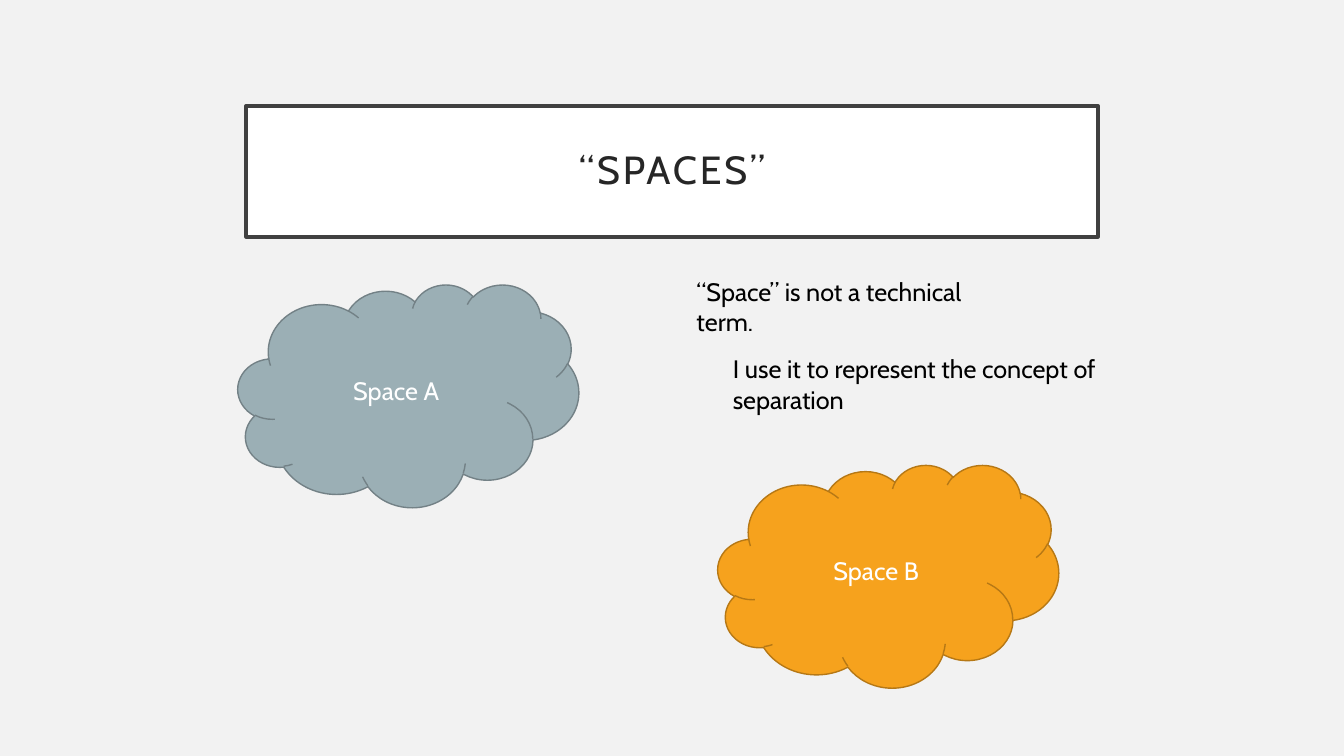
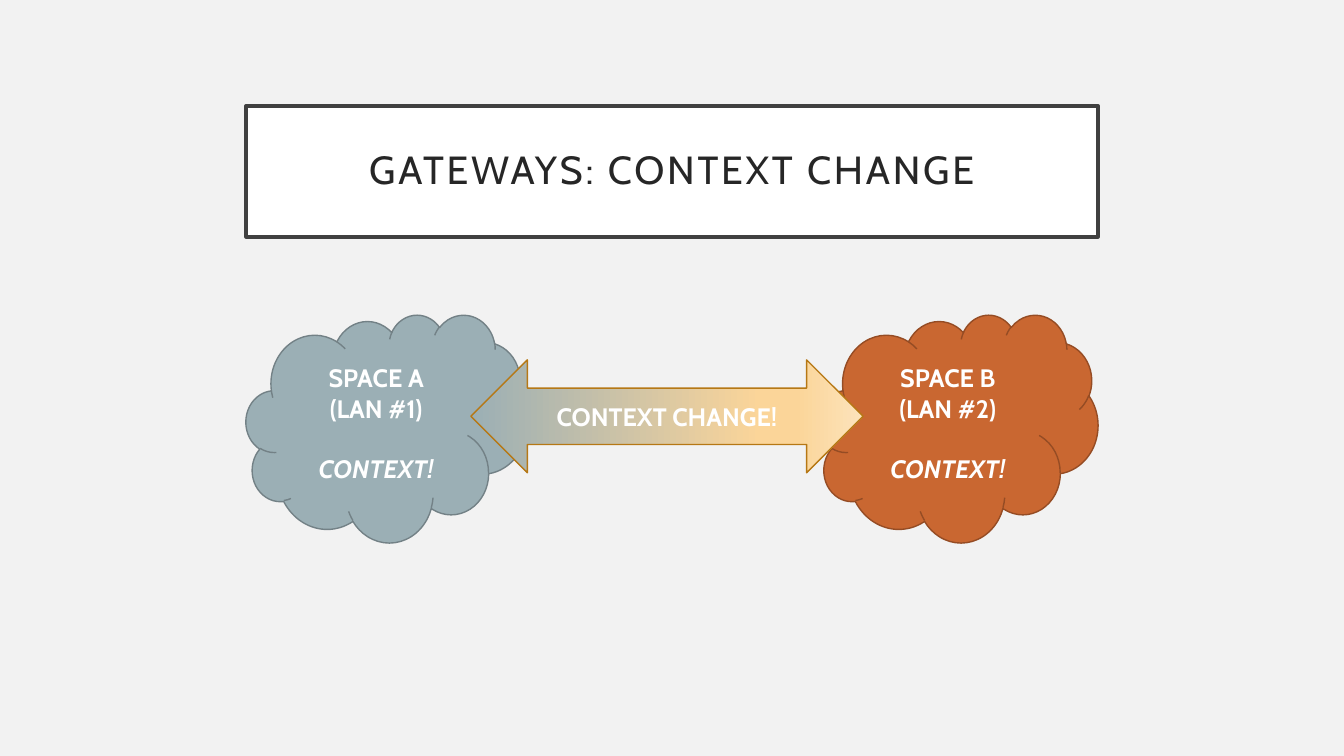
from copy import deepcopy
from pptx import Presentation
from pptx.dml.color import RGBColor as RGB
from pptx.enum.shapes import MSO_SHAPE as Shape
from pptx.enum.text import MSO_ANCHOR as Anchor, MSO_AUTO_SIZE as Fit, PP_ALIGN as Align
from pptx.util import Inches, Pt

FONT = "Cabin"
HUES = {
    "back": "F2F2F2", "white": "FFFFFF", "black": "000000",
    "ink": "262626", "frame": "404040",
    "slate": "9BAFB5", "slate_edge": "738186",
    "amber": "F6A21D", "amber_edge": "B67815",
    "rust": "C96731", "rust_edge": "954C24",
    "sand": "FBD599", "cream": "FCE3BB",
}
BLEND = [(0, "slate"), (0.74, "sand"), (0.83, "sand"), (1, "cream")]
TITLE = (2.44, 1.05, 8.45, 1.3)


def hue(name):
    return RGB.from_string(HUES[name])


def style(par, color, size=18, bold=False):
    font = par.font
    font.name, font.size, font.bold = FONT, Pt(size), bold
    font.color.rgb = hue(color)


def add_block(slide, kind, box, fill, edge, lines, width=1, size=18, color="white", bold=False):
    shape = slide.shapes.add_shape(kind, *map(Inches, box))
    shape.shadow.inherit = False
    shape.fill.solid()
    shape.fill.fore_color.rgb = hue(fill)
    shape.line.color.rgb = hue(edge)
    shape.line.width = Pt(width)
    frame = shape.text_frame
    frame.word_wrap = True
    frame.vertical_anchor = Anchor.MIDDLE
    frame.text = "\n".join(lines)
    for par in frame.paragraphs:
        par.alignment = Align.CENTER
        style(par, color, size, bold)
    return shape


def add_title(slide, text):
    shape = add_block(slide, Shape.RECTANGLE, TITLE, "white", "frame", [text], 2.5, 28, "ink")
    frame = shape.text_frame
    frame.margin_left = frame.margin_right = Inches(0.2)
    frame.margin_top = frame.margin_bottom = Inches(0.2)
    par = frame.paragraphs[0]
    par.line_spacing = 0.9
    par.runs[0].font._element.set("spc", "200")


def add_cloud(slide, box, tone, lines, bold=False):
    return add_block(slide, Shape.CLOUD, box, tone, tone + "_edge", lines, bold=bold)


def add_space(slide, box, tone, name, net):
    cloud = add_cloud(slide, box, tone, [name, net, "CONTEXT!"], True)
    last = cloud.text_frame.paragraphs[-1]
    last.space_before = Pt(21.6)
    last.font.italic = True


def add_arrow(slide, box, text):
    arrow = add_block(slide, Shape.LEFT_RIGHT_ARROW, box, "sand", "amber_edge", [text], bold=True)
    fill = arrow.fill
    fill.gradient()
    fill.gradient_angle = 0
    first = fill._xPr.find(".//{*}gs")
    for _ in BLEND[2:]:
        first.addnext(deepcopy(first))
    for stop, (place, tone) in zip(fill.gradient_stops, BLEND):
        stop.position = place
        stop.color.rgb = hue(tone)


def add_note(slide, box, text):
    frame = slide.shapes.add_textbox(*map(Inches, box)).text_frame
    frame.word_wrap = True
    frame.auto_size = Fit.SHAPE_TO_FIT_TEXT
    frame.text = text
    style(frame.paragraphs[0], "black")


def new_slide(deck, title):
    slide = deck.slides.add_slide(deck.slide_layouts[6])
    slide.background.fill.solid()
    slide.background.fill.fore_color.rgb = hue("back")
    add_title(slide, title)
    return slide


def spaces(deck):
    slide = new_slide(deck, "“SPACES”")
    add_cloud(slide, (7.12, 4.61, 3.38, 2.21), "amber", ["Space B"])
    add_cloud(slide, (2.36, 2.82, 3.38, 2.21), "slate", ["Space A"])
    add_note(slide, (6.81, 2.69, 3.4, 0.4), "“Space” is not a technical term.")
    add_note(slide, (7.17, 3.46, 4.9, 0.4), "I use it to represent the concept of separation")


def gateways(deck):
    slide = new_slide(deck, "GATEWAYS: CONTEXT CHANGE")
    left, _, span, _ = TITLE
    top, wide, high = 3.12, 2.78, 2.26
    add_space(slide, (left, top, wide, high), "slate", "SPACE A", "(LAN #1)")
    add_space(slide, (left + span - wide, top, wide, high), "rust", "SPACE B", "(LAN #2)")
    add_arrow(slide, (4.67, 3.57, 3.89, 1.12), "CONTEXT CHANGE!")


def main():
    deck = Presentation()
    deck.slide_width, deck.slide_height = Inches(13.33), Inches(7.5)
    spaces(deck)
    gateways(deck)
    deck.save("out.pptx")


if __name__ == "__main__":
    main()
